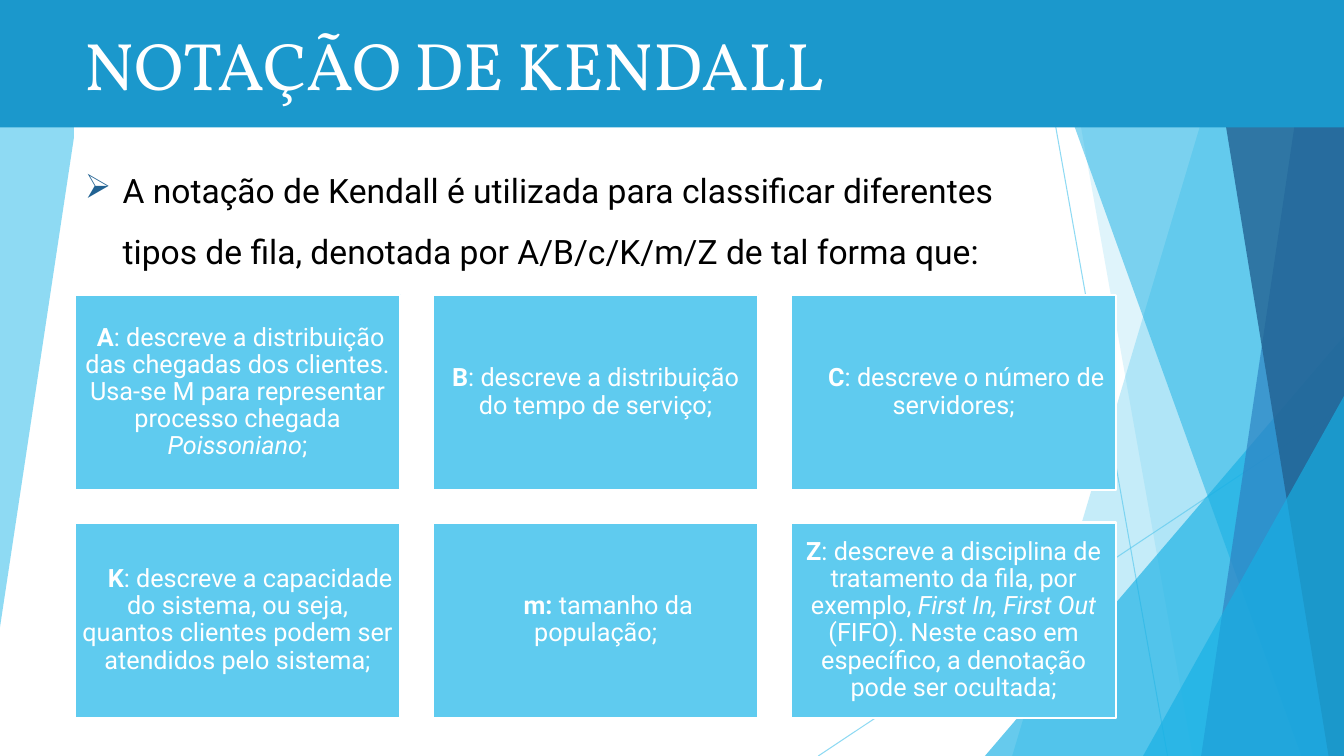
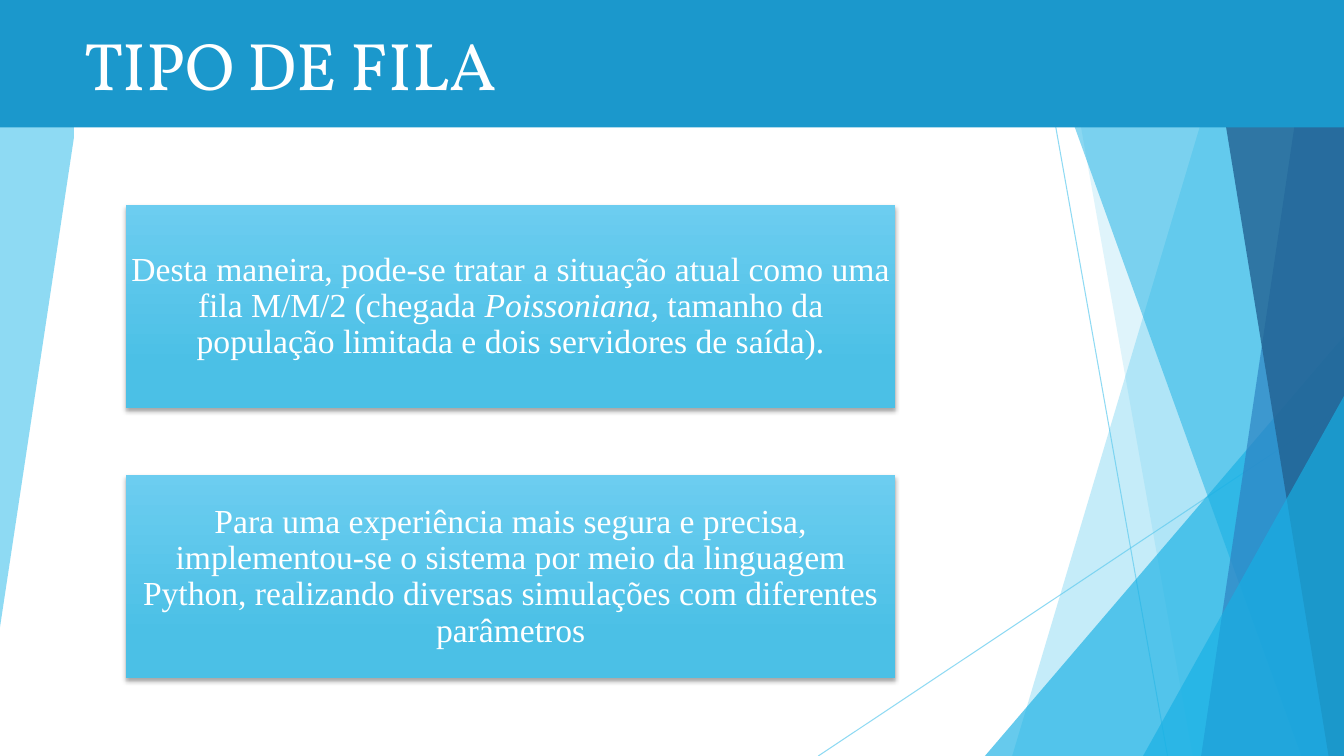
"""Build two slides on Kendall notation and the queue type."""
from lxml.etree import SubElement
from pptx import Presentation
from pptx.dml.color import RGBColor
from pptx.enum.shapes import MSO_CONNECTOR as CONNECTOR, MSO_SHAPE as SHAPE
from pptx.enum.text import MSO_ANCHOR as ANCHOR, PP_ALIGN as ALIGN
from pptx.oxml.ns import qn
from pptx.util import Pt

COLOURS = {
    "white": "FFFFFF", "black": "000000", "band": "1B98CC", "sky": "5FCBEF",
    "cyan": "17B0E4", "blue": "2E83C3", "navy": "226292",
    "gradient_top": "6CCDF0", "gradient_bottom": "4BC0E6",
}
RGB = {name: RGBColor.from_string(value) for name, value in COLOURS.items()}
WIDTH, HEIGHT = 960, 540
MARGIN = 53.5
BAND_HEIGHT = 91

LINES = [
    (738, 0, 834, HEIGHT, "sky", 0.75, 70),
    (WIDTH, 290, 584.5, HEIGHT, "sky", 0.75, 70),
    (MARGIN, BAND_HEIGHT, MARGIN, HEIGHT, "white", 1, 100),
]
WEDGES = [
    ("facet", 884, 723, "sky", 36),
    ("facet", 756, 852, "sky", 20),
    ("triangle", 703.5, 240, "cyan", 66),
    ("facet", 735, 929.5, "cyan", 50),
    ("facet", 938, 858, "blue", 70),
    ("facet", 861, 949, "navy", 80),
    ("triangle", 816.5, 283, "cyan", 66),
]
TITLES = ["NOTAÇÃO DE KENDALL", "TIPO DE FILA"]
INTRO = ("A notação de Kendall é utilizada para classificar diferentes tipos de fila, "
         "denotada por A/B/c/K/m/Z de tal forma que:")
NOTATION = [
    (4.5, [("A", "b"), (": descreve a distribuição das chegadas dos clientes. "
                        "Usa-se M para representar processo chegada ", ""),
           ("Poissoniano", "i"), (";", "")]),
    (0, [("B", "b"), (": descreve a distribuição do tempo de serviço;", "")]),
    (18, [("C", "b"), (": descreve o número de servidores;", "")]),
    (18, [("K", "b"), (": descreve a capacidade do sistema, ou seja, quantos clientes "
                       "podem ser atendidos pelo sistema;", "")]),
    (18, [("m:", "b"), (" tamanho da população;", "")]),
    (0, [("Z", "b"), (": descreve a disciplina de tratamento da fila, por exemplo, ", ""),
         ("First In, First Out ", "i"),
         ("(FIFO). Neste caso em específico, a denotação pode ser ocultada;", "")]),
]
QUEUE = [
    [("Desta maneira, pode-se tratar a situação atual como uma fila M/M/2 (chegada ", ""),
     ("Poissoniana", "i"),
     (", tamanho da população limitada e dois servidores de saída).", "")],
    [("Para uma experiência mais segura e precisa, implementou-se o sistema por meio da "
      "linguagem Python, realizando diversas simulações com diferentes parâmetros", "")],
]


def paint(shape, colour, opacity=100):
    shape.shadow.inherit = False
    shape.fill.solid()
    shape.fill.fore_color.rgb = RGB[colour]
    shape.line.fill.background()
    if opacity < 100:
        tint = shape._element.xpath("./p:spPr/a:solidFill/a:srgbClr")[0]
        SubElement(tint, qn("a:alpha"), val=str(opacity * 1000))


def write(shape, runs, font, size, colour="white", inset=None):
    frame = shape.text_frame
    frame.word_wrap = True
    paragraph = frame.paragraphs[0]
    paragraph.font.name = font
    paragraph.font.size = Pt(size)
    paragraph.font.color.rgb = RGB[colour]
    for text, style in runs:
        run = paragraph.add_run()
        run.text = text
        if style:
            run.font.bold = style == "b"
            run.font.italic = style == "i"
    if inset is not None:
        frame.vertical_anchor = ANCHOR.MIDDLE
        frame.margin_left = frame.margin_right = Pt(inset)
        frame.margin_top = frame.margin_bottom = Pt(inset)
        paragraph.alignment = ALIGN.CENTER
        paragraph.line_spacing = 0.9
    return paragraph


presentation = Presentation()
presentation.slide_width = Pt(WIDTH)
presentation.slide_height = Pt(HEIGHT)
slides = []

for title in TITLES:
    slide = presentation.slides.add_slide(presentation.slide_layouts[6])
    slides.append(slide)
    shapes = slide.shapes

    wing = shapes.build_freeform(0, 0)
    wing.add_line_segments([(Pt(67.5), 0), (Pt(67.5), Pt(1)), (0, Pt(448))])
    paint(wing.convert_to_shape(), "sky", 70)

    for x1, y1, x2, y2, colour, weight, opacity in LINES:
        line = shapes.add_connector(CONNECTOR.STRAIGHT, Pt(x1), Pt(y1), Pt(x2), Pt(y2))
        line.line.color.rgb = RGB[colour]
        line.line.width = Pt(weight)
        tint = line._element.xpath("./p:spPr/a:ln//a:srgbClr")[0]
        SubElement(tint, qn("a:alpha"), val=str(opacity * 1000))
        SubElement(line._element.spPr, qn("a:effectLst"))

    for kind, first, second, colour, opacity in WEDGES:
        if kind == "facet":
            outline = shapes.build_freeform(Pt(first), 0)
            outline.add_line_segments([(Pt(WIDTH), 0), (Pt(WIDTH), Pt(HEIGHT)),
                                       (Pt(second), Pt(HEIGHT))])
            wedge = outline.convert_to_shape()
        else:
            wedge = shapes.add_shape(SHAPE.ISOSCELES_TRIANGLE, Pt(first), Pt(second),
                                     Pt(WIDTH - first), Pt(HEIGHT - second))
            wedge.adjustments[0] = 1
        paint(wedge, colour, opacity)

    band = shapes.add_shape(SHAPE.RECTANGLE, 0, 0, Pt(WIDTH), Pt(BAND_HEIGHT))
    paint(band, "band")
    title_box = shapes.add_textbox(Pt(MARGIN), Pt(13), Pt(816), Pt(65.5))
    write(title_box, [(title, "")], "Vollkorn", 48)

notation_slide, queue_slide = slides

intro_box = notation_slide.shapes.add_textbox(Pt(MARGIN), Pt(103.5), Pt(691), Pt(89.5))
paragraph = write(intro_box, [(INTRO, "")], "Roboto", 24, "black")
paragraph.line_spacing = 1.5
properties = paragraph._p.get_or_add_pPr()
properties.set("marL", str(Pt(27)))
properties.set("indent", str(Pt(-27)))
bullet_colour = properties.makeelement(qn("a:buClr"))
SubElement(bullet_colour, qn("a:srgbClr"), val=COLOURS["navy"])
bullet = properties.makeelement(qn("a:buChar"), char="➢")
for element in (bullet_colour, bullet):
    properties.find(qn("a:defRPr")).addprevious(element)

CARD_WIDTH, CARD_HEIGHT, CARD_GAP = 232.5, 139.5, 23.25
for index, (indent, runs) in enumerate(NOTATION):
    row, column = divmod(index, 3)
    card = notation_slide.shapes.add_shape(
        SHAPE.RECTANGLE,
        Pt(MARGIN + column * (CARD_WIDTH + CARD_GAP)),
        Pt(210.5 + row * (CARD_HEIGHT + CARD_GAP)),
        Pt(CARD_WIDTH), Pt(CARD_HEIGHT))
    paint(card, "sky")
    card.line.color.rgb = RGB["white"]
    card.line.width = Pt(1.5)
    paragraph = write(card, runs, "Roboto", 18, inset=5)
    paragraph._p.get_or_add_pPr().set("indent", str(Pt(indent)))

for row, runs in enumerate(QUEUE):
    panel = queue_slide.shapes.add_shape(SHAPE.RECTANGLE, Pt(90), Pt(146.5 + row * 193),
                                         Pt(549.5), Pt(145))
    paint(panel, "sky")
    panel.fill.gradient()
    panel.fill.gradient_angle = 270
    stops = zip(panel.fill.gradient_stops, ("gradient_top", "gradient_bottom"), (0, 0.78))
    for stop, colour, position in stops:
        stop.color.rgb = RGB[colour]
        stop.position = position
    effects = panel._element.spPr.find(qn("a:effectLst"))
    shadow = SubElement(effects, qn("a:outerShdw"), blurRad=str(Pt(3)), dist=str(Pt(2)),
                        dir="5400000", rotWithShape="0")
    shade = SubElement(shadow, qn("a:srgbClr"), val=COLOURS["black"])
    SubElement(shade, qn("a:alpha"), val="35000")
    write(panel, runs, "Times New Roman", 24, inset=1.5)

presentation.save("out.pptx")
